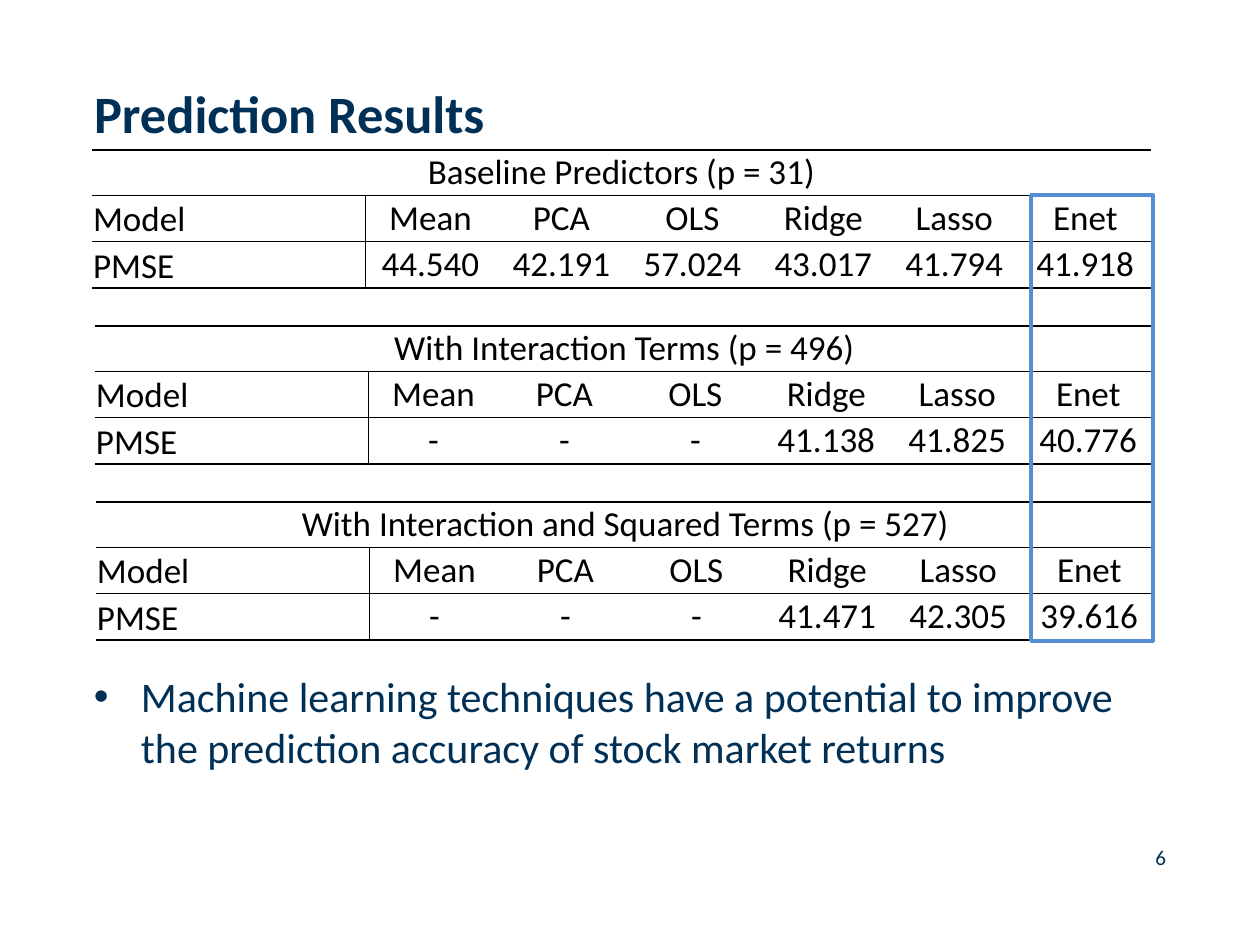
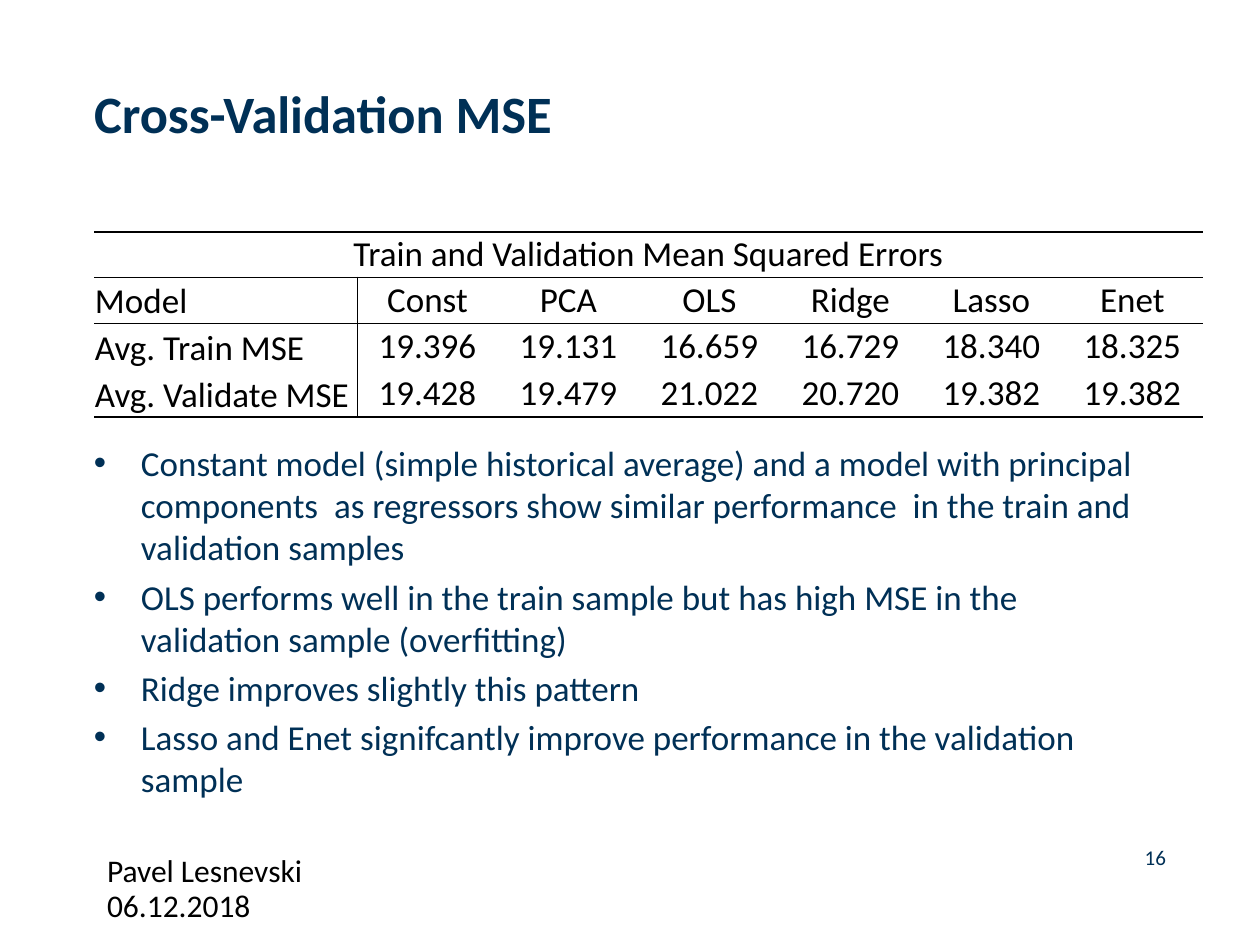
from lxml.etree import SubElement
from pptx import Presentation
from pptx.dml.color import RGBColor
from pptx.enum.shapes import MSO_SHAPE
from pptx.enum.text import MSO_ANCHOR, MSO_AUTO_SIZE, PP_ALIGN
from pptx.oxml.ns import qn
from pptx.util import Emu, Pt

SCALE = 914400 // 126
NAVY = RGBColor(0x00, 0x30, 0x56)
BLACK = RGBColor(0x00, 0x00, 0x00)
BLUE = RGBColor(0x55, 0x8E, 0xD5)
FONT = "Calibri"
LEFT = 94
PAGE_NUMBER = (1021, 845, 145, 25)
TITLE_ONLY = 5
BULLET_INDENT = 47
RULE, HAIRLINE = 1, 0.5
ROW_HEIGHTS = [45, 46, 47, 47]
PREDICTION_MODELS = ["Model", "Mean", "PCA", "OLS", "Ridge", "Lasso", "Enet"]
VALIDATION_MODELS = ["Model", "Const"] + PREDICTION_MODELS[2:]


def px(length):
    return Emu(length * SCALE)


def place(box):
    return [px(length) for length in box]


def write(frame, *lines, size=20, color=BLACK, bold=False, align=PP_ALIGN.LEFT,
          bullet=False):
    for index, line in enumerate(lines):
        paragraph = frame.add_paragraph() if index else frame.paragraphs[0]
        paragraph.alignment = align
        run = paragraph.add_run()
        run.text = line
        run.font.name = FONT
        run.font.size = Pt(size)
        run.font.bold = bold
        run.font.color.rgb = color
        if bullet:
            paragraph.space_before = Pt(size * 0.2)
            properties = paragraph._p.get_or_add_pPr()
            properties.set("marL", str(px(BULLET_INDENT)))
            properties.set("indent", str(-px(BULLET_INDENT)))
            SubElement(properties, qn("a:buFont"), typeface="Arial")
            SubElement(properties, qn("a:buChar"), char="•")


def prepare_frame(frame, inset=0):
    frame.word_wrap = True
    frame.auto_size = MSO_AUTO_SIZE.NONE
    frame.vertical_anchor = MSO_ANCHOR.TOP
    frame.margin_left = frame.margin_right = px(inset)
    frame.margin_top = frame.margin_bottom = px(inset // 2)
    return frame


def add_text(slide, box, *lines, inset=0, **text_format):
    frame = prepare_frame(slide.shapes.add_textbox(*place(box)).text_frame, inset)
    write(frame, *lines, **text_format)


def add_titled_slide(deck, title, number):
    slide = deck.slides.add_slide(deck.slide_layouts[TITLE_ONLY])
    heading = slide.shapes.title
    heading.left, heading.top, heading.width, heading.height = place((LEFT, 81, 814, 157))
    write(prepare_frame(heading.text_frame), title, size=30, color=NAVY, bold=True)
    add_text(slide, PAGE_NUMBER, str(number), size=12, color=NAVY, align=PP_ALIGN.RIGHT)
    return slide


def draw_borders(cell, **widths):
    properties = cell._tc.get_or_add_tcPr()
    for side in "LRTB":
        width = widths.get(side, 0)
        line = SubElement(properties, qn(f"a:ln{side}"), w=str(Pt(width)))
        if width:
            fill = SubElement(line, qn("a:solidFill"))
            SubElement(fill, qn("a:srgbClr"), val=str(BLACK))
        else:
            SubElement(line, qn("a:noFill"))


def format_cell(cell, row, column, edges):
    cell.margin_left = cell.margin_right = cell.margin_top = px(1)
    cell.margin_bottom = 0
    label = column == 0 and row > 1
    cell.vertical_anchor = MSO_ANCHOR.BOTTOM if label else MSO_ANCHOR.MIDDLE
    draw_borders(cell, T=edges[row], B=edges[row + 1],
                 R=HAIRLINE if label else 0,
                 L=HAIRLINE if column == 1 and row > 1 else 0)
    cell.fill.background()


def add_results(slide, left, top, caption, models, scores, label_width, score_width,
                spacer=28):
    heights = [spacer] + ROW_HEIGHTS[:len(scores) + 2]
    widths = [label_width] + [score_width] * (len(models) - 1)
    edges = [0, RULE, HAIRLINE, HAIRLINE] + [0] * (len(scores) - 1) + [RULE]
    box = left, top, sum(widths), sum(heights)
    table = slide.shapes.add_table(len(heights), len(widths), *place(box)).table
    table.first_row = table.horz_banding = False
    for column, width in zip(table.columns, widths):
        column.width = px(width)
    for row, height in zip(table.rows, heights):
        row.height = px(height)
    for row in range(len(heights)):
        for column in range(len(widths)):
            format_cell(table.cell(row, column), row, column, edges)
    for column in range(len(widths)):
        blank = table.cell(0, column).text_frame.paragraphs[0]
        SubElement(blank._p, qn("a:endParaRPr"), sz="800")
    table.cell(1, 0).merge(table.cell(1, len(widths) - 1))
    write(table.cell(1, 0).text_frame, caption, align=PP_ALIGN.CENTER)
    for row, entries in enumerate([models] + scores, start=2):
        for column, entry in enumerate(entries):
            write(table.cell(row, column).text_frame, entry,
                  align=PP_ALIGN.CENTER if column else PP_ALIGN.LEFT)


def add_highlight(slide, box):
    highlight = slide.shapes.add_shape(MSO_SHAPE.RECTANGLE, *place(box))
    highlight.shadow.inherit = False
    highlight.fill.background()
    highlight.line.color.rgb = BLUE
    highlight.line.width = Pt(2)


def build_prediction_results(deck):
    slide = add_titled_slide(deck, "Prediction Results", 6)
    experiments = [
        (92, 122, 28, "Baseline Predictors (p = 31)",
         ["44.540", "42.191", "57.024", "43.017", "41.794", "41.918"]),
        (95, 278, 48, "With Interaction Terms (p = 496)",
         ["-", "-", "-", "41.138", "41.825", "40.776"]),
        (96, 474, 28, "With Interaction and Squared Terms (p = 527)",
         ["-", "-", "-", "41.471", "42.305", "39.616"]),
    ]
    for left, top, spacer, caption, errors in experiments:
        add_results(slide, left, top, caption, PREDICTION_MODELS, [["PMSE"] + errors],
                    label_width=273, score_width=131, spacer=spacer)
    add_text(slide, (LEFT, 671, 1071, 88),
             "Machine learning techniques have a potential to improve the prediction "
             "accuracy of stock market returns",
             size=24, color=NAVY, bullet=True)
    add_highlight(slide, (1031, 195, 122, 446))


def build_cross_validation(deck):
    slide = add_titled_slide(deck, "Cross-Validation MSE", 16)
    errors = [
        ["Avg. Train MSE", "19.396", "19.131", "16.659", "16.729", "18.340", "18.325"],
        ["Avg. Validate MSE", "19.428", "19.479", "21.022", "20.720", "19.382", "19.382"],
    ]
    add_results(slide, LEFT, 204, "Train and Validation Mean Squared Errors",
                VALIDATION_MODELS, errors, label_width=263, score_width=141)
    add_text(slide, (LEFT, 442, 1071, 393),
             "Constant model (simple historical average) and a model with principal "
             "components  as regressors show similar performance  in the train and "
             "validation samples",
             "OLS performs well in the train sample but has high MSE in the validation "
             "sample (overfitting)",
             "Ridge improves slightly this pattern",
             "Lasso and Enet signifcantly improve performance in the validation sample",
             color=NAVY, bullet=True)
    for top, detail in [(845, "Pavel Lesnevski"), (880, "06.12.2018")]:
        add_text(slide, (LEFT, top, 399, 25), detail, inset=13, size=18)


def main():
    deck = Presentation()
    deck.slide_width, deck.slide_height = px(1260), px(945)
    build_prediction_results(deck)
    build_cross_validation(deck)
    deck.save("out.pptx")


if __name__ == "__main__":
    main()
